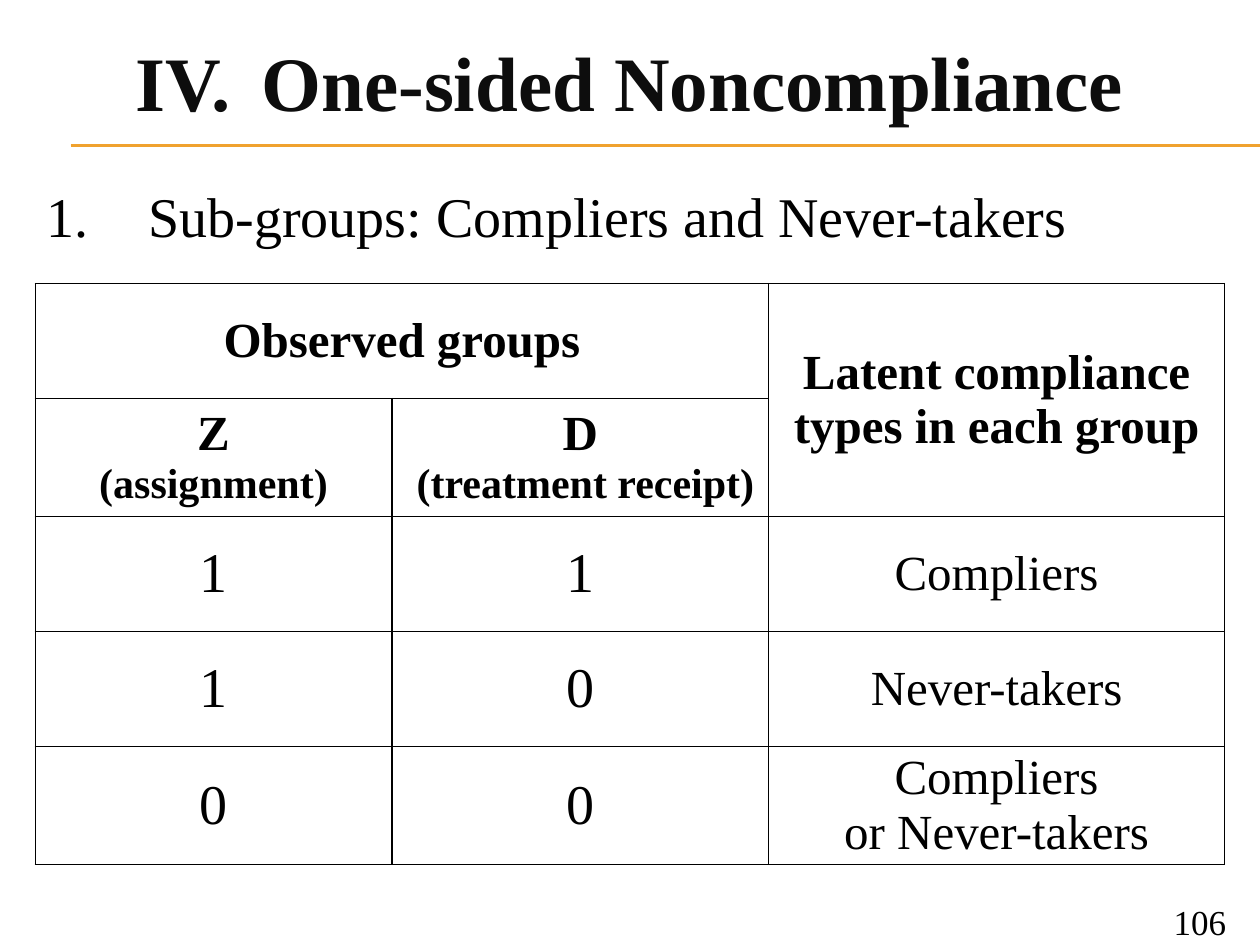
from lxml.etree import SubElement
from pptx import Presentation
from pptx.dml.color import RGBColor
from pptx.enum.shapes import MSO_CONNECTOR
from pptx.enum.text import MSO_ANCHOR, PP_ALIGN
from pptx.oxml.ns import qn
from pptx.util import Inches, Pt

COLORS = {"background": "FFFFFF", "title": "0D0D0D", "text": "000000", "rule": "F0A22E"}


class SlideBuilder:
    font_name = "Times New Roman"

    def __init__(self, slide):
        self.slide = slide
        slide.background.fill.solid()
        slide.background.fill.fore_color.rgb = RGBColor.from_string(COLORS["background"])

    def add_run(self, paragraph, text, size, bold=False, color="text"):
        run = paragraph.add_run()
        run.text = text
        run.font.name = self.font_name
        run.font.size = Pt(size)
        run.font.bold = bold
        run.font.color.rgb = RGBColor.from_string(COLORS[color])

    def title(self, text, left, top, width, height):
        heading = self.slide.shapes.title
        heading.left, heading.top = Inches(left), Inches(top)
        heading.width, heading.height = Inches(width), Inches(height)
        heading.text_frame.vertical_anchor = MSO_ANCHOR.MIDDLE
        paragraph = heading.text_frame.paragraphs[0]
        paragraph.alignment = PP_ALIGN.CENTER
        self.add_run(paragraph, text, 44, bold=True, color="title")

    def rule(self, left, right, y):
        line = self.slide.shapes.add_connector(
            MSO_CONNECTOR.STRAIGHT, Inches(left), Inches(y), Inches(right), Inches(y))
        line.line.color.rgb = RGBColor.from_string(COLORS["rule"])
        line.line.width = Pt(0.75)
        SubElement(line._element.spPr, qn("a:effectLst"))

    def text_box(self, text, size, left, top, width, height,
                 align=PP_ALIGN.LEFT, numbered=False, inset_top=0.05):
        frame = self.slide.shapes.add_textbox(
            Inches(left), Inches(top), Inches(width), Inches(height)).text_frame
        frame.word_wrap = True
        frame.margin_top = Inches(inset_top)
        paragraph = frame.paragraphs[0]
        paragraph.alignment = align
        if numbered:
            properties = paragraph._p.get_or_add_pPr()
            properties.set("marL", str(Inches(0.81)))
            properties.set("indent", str(-Inches(0.81)))
            SubElement(properties, qn("a:buFont"), typeface=self.font_name)
            SubElement(properties, qn("a:buAutoNum"), type="arabicPeriod")
        self.add_run(paragraph, text, size)

    def border(self, cell):
        properties = cell._tc.get_or_add_tcPr()
        for position, side in enumerate(("lnL", "lnR", "lnT", "lnB")):
            edge = SubElement(properties, qn(f"a:{side}"), w=str(Pt(1)))
            fill = SubElement(edge, qn("a:solidFill"))
            SubElement(fill, qn("a:srgbClr"), val=COLORS["text"])
            properties.insert(position, edge)

    def table(self, rows, merges, header_rows, left, top, widths, height):
        table = self.slide.shapes.add_table(
            len(rows), len(widths), Inches(left), Inches(top),
            Inches(sum(widths)), Inches(height)).table
        table.first_row = table.horz_banding = False
        for column, width in zip(table.columns, widths):
            column.width = Inches(width)
        for row in table.rows:
            row.height = Inches(height / len(rows))
        for start, end in merges:
            table.cell(*start).merge(table.cell(*end))
        for r, row in enumerate(rows):
            for c, lines in enumerate(row):
                self.fill_cell(table.cell(r, c), lines, bold=r < header_rows)

    def fill_cell(self, cell, lines, bold):
        cell.fill.background()
        self.border(cell)
        cell.vertical_anchor = MSO_ANCHOR.MIDDLE
        cell.margin_left = cell.margin_right = Inches(0.07)
        cell.margin_top = cell.margin_bottom = 0
        frame = cell.text_frame
        for i, (text, size) in enumerate(lines):
            paragraph = frame.add_paragraph() if i else frame.paragraphs[0]
            paragraph.alignment = PP_ALIGN.CENTER
            self.add_run(paragraph, text, size, bold)


def main():
    deck = Presentation()
    deck.slide_width, deck.slide_height = Inches(10), Inches(7.5)
    builder = SlideBuilder(deck.slides.add_slide(deck.slide_layouts[5]))

    # Heading with its double rule
    for rule_y in (1.15, 1.16):
        builder.rule(0.56, 10, rule_y)
    builder.title("IV.\tOne-sided Noncompliance", 0, 0.13, 10, 1.02)

    # Numbered topic
    builder.text_box("Sub-groups: Compliers and Never-takers", 32,
                     0.27, 1.39, 9.45, 0.63, numbered=True)

    # Observed groups against latent compliance types
    compliance_rows = [
        [[("Observed groups", 28)], [], [("Latent compliance types in each group", 28)]],
        [[("Z", 28), ("(assignment)", 24)], [("D", 28), (" (treatment receipt)", 24)], []],
    ]
    observed_groups = [
        ("1", "1", ["Compliers"]),
        ("1", "0", ["Never-takers"]),
        ("0", "0", ["Compliers", "or Never-takers"]),
    ]
    for assignment, receipt, types in observed_groups:
        compliance_rows.append(
            [[(assignment, 32)], [(receipt, 32)], [(name, 28) for name in types]])
    builder.table(compliance_rows, merges=[((0, 0), (0, 1)), ((0, 2), (1, 2))],
                  header_rows=2, left=0.28, top=2.25,
                  widths=(2.83, 2.99, 3.62), height=4.57)

    # Page number
    builder.text_box("106", 20, 9, 7.08, 0.83, 0.27, align=PP_ALIGN.RIGHT, inset_top=0.07)

    deck.save("out.pptx")


if __name__ == "__main__":
    main()
